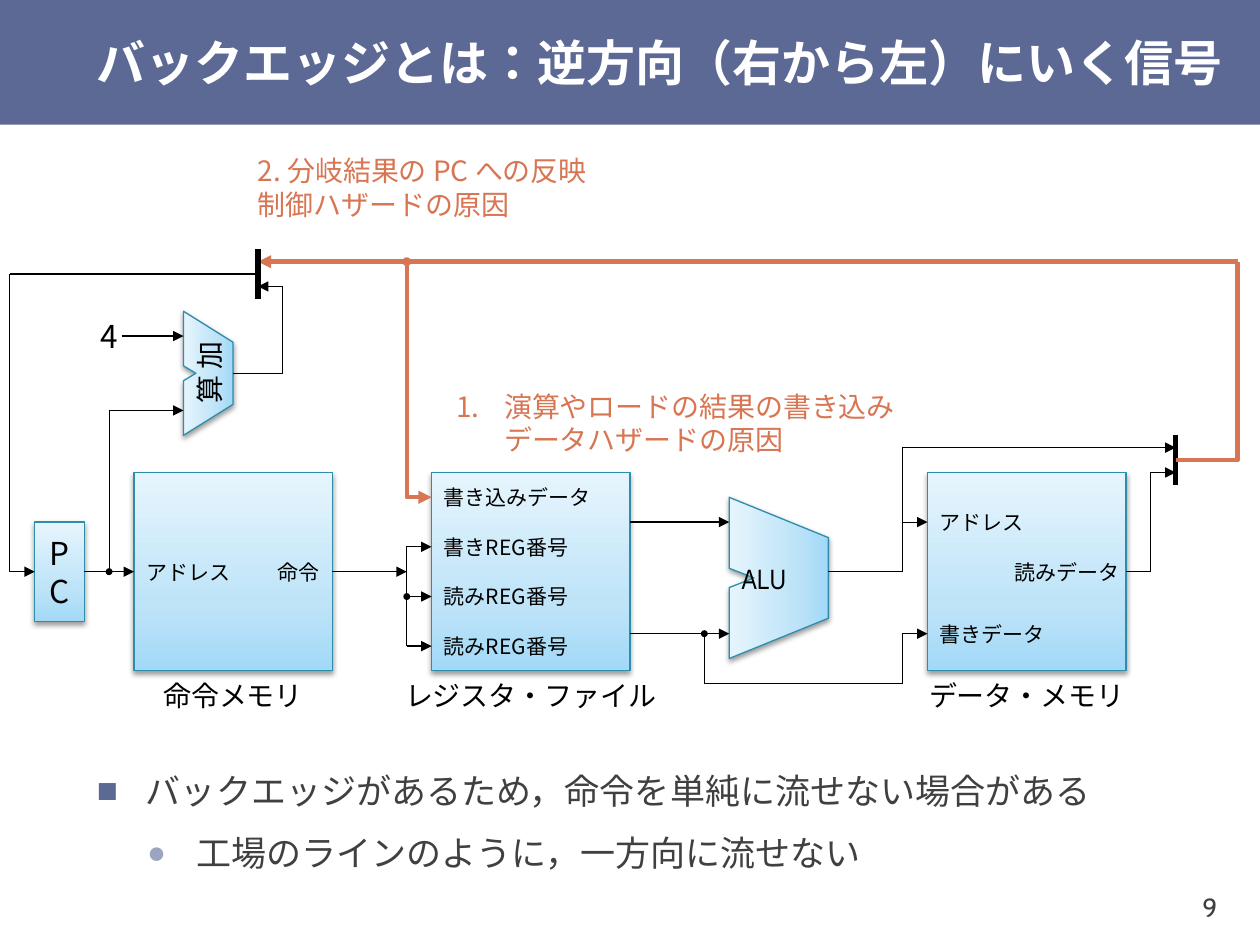
from lxml import etree
from pptx import Presentation
from pptx.dml.color import RGBColor as Rgb
from pptx.enum.lang import MSO_LANGUAGE_ID as Lang
from pptx.enum.shapes import MSO_CONNECTOR as Link, MSO_SHAPE as Kind
from pptx.enum.text import MSO_ANCHOR as Anchor, PP_ALIGN as Align
from pptx.oxml import parse_xml
from pptx.oxml.ns import qn
from pptx.util import Inches, Mm, Pt

HUES = {"bar": "5C6994", "white": "FFFFFF", "ink": "000000", "gray": "404040",
        "back": "D87552", "edge": "2E8DAB", "dot": "9BA4C1"}
NS = 'xmlns:a="http://schemas.openxmlformats.org/drawingml/2006/main"'
STOPS = [(0, "A2D9F7"), (35, "BFE4F8"), (100, "E6F5FD")]
CELL = Mm(5)
CJK = "Noto Sans CJK JP"

deck = Presentation()
deck.slide_width, deck.slide_height = Inches(10), Inches(7.5)
wide, high = deck.slide_width, deck.slide_height
slide = deck.slides.add_slide(deck.slide_layouts[6])
shapes = slide.shapes


def spot(col, row):
    """Turn a grid column and row into a place on the slide."""
    return int(Mm(2) + col * CELL), int(Mm(0.25) + row * CELL)


def write(shape, lines, size, hue="ink", face=CJK, align=Align.LEFT,
          side=0.1, edge=0.0, bold=None):
    frame = shape.text_frame
    frame.word_wrap = True
    frame.vertical_anchor = Anchor.MIDDLE
    frame.margin_left = frame.margin_right = Inches(side)
    frame.margin_top = frame.margin_bottom = Inches(edge)
    for i, line in enumerate(lines):
        para = frame.add_paragraph() if i else frame.paragraphs[0]
        para.text, para.alignment = line, align
        for run in para.runs:
            font = run.font
            font.size, font.name, font.bold = Pt(size), face, bold
            font.color.rgb = Rgb.from_string(HUES[hue])
            font.language_id = Lang.JAPANESE
            east = etree.SubElement(run._r.get_or_add_rPr(), qn("a:ea"))
            east.set("typeface", CJK)
    return frame


# Title bar and page number
bar = shapes.add_shape(Kind.RECTANGLE, 0, 0, wide, int(high * 0.132))
bar.shadow.inherit = False
bar.fill.solid()
bar.fill.fore_color.rgb = Rgb.from_string(HUES["bar"])
bar.line.fill.background()
title = shapes.add_textbox(int(wide * 0.067), 0, int(wide * 0.933), bar.height)
write(title, ["バックエッジとは：逆方向（右から左）にいく信号"], 28, "white", "Cabin",
      bold=True)
page = shapes.add_textbox(int(wide * 0.894), int(high * 0.92),
                          int(wide * 0.079), int(high * 0.08))
write(page, ["9"], 15, "gray", "Cabin", Align.RIGHT, 0.07, 0.04)

# Bulleted points
body = shapes.add_textbox(int(wide * 0.067), int(high * 0.815),
                          int(wide * 0.906), int(high * 0.105))
frame = write(body, ["バックエッジがあるため，命令を単純に流せない場合がある",
                     "工場のラインのように，一方向に流せない"],
              20, "gray", "Cabin", edge=0.05)
marks = [("■", "bar", 100, 0.39, 24, 6), ("●", "dot", 90, 0.79, 3, 3)]
for para, (mark, hue, size, left, above, below) in zip(frame.paragraphs, marks):
    para.line_spacing = 1.1
    para.space_before, para.space_after = Pt(above), Pt(below)
    props = para._p.get_or_add_pPr()
    props.set("marL", str(Inches(left)))
    props.set("indent", str(-Inches(0.39)))
    for xml in (f'<a:buClr {NS}><a:srgbClr val="{HUES[hue]}"/></a:buClr>',
                f'<a:buSzPct {NS} val="{size * 1000}"/>',
                f'<a:buFont {NS} typeface="Arial"/>',
                f'<a:buChar {NS} char="{mark}"/>'):
        props.append(parse_xml(xml))

# Units: column, row, columns wide, rows high, text, size, face, trapezoid
units = [(5, 19, 8, 8, "", 0, CJK, False), (17, 19, 8, 8, "", 0, CJK, False),
         (37, 19, 8, 8, "", 0, CJK, False),
         (27.75, 21.25, 6.5, 4, "ALU", 16, "Arial Narrow", True),
         (1, 21, 2, 4, "PC", 18, CJK, False),
         (5.5, 14, 5, 2, "加算", 16, CJK, True)]
outline = [(0, 0), (0.25, 1), (0.75, 1), (1, 0), (0.56, 0), (0.5, 0.25), (0.44, 0)]
for col, row, cols, rows, label, size, face, slant in units:
    if slant:
        pts = [spot(col + x * cols, row + y * rows) for x, y in outline]
        pen = shapes.build_freeform(*pts[0])
        pen.add_line_segments(pts[1:], close=True)
        unit = pen.convert_to_shape()
        unit.rotation = 270
    else:
        unit = shapes.add_shape(Kind.RECTANGLE, *spot(col, row),
                                int(cols * CELL), int(rows * CELL))
    unit.line.color.rgb = Rgb.from_string(HUES["edge"])
    unit.line.width = Pt(0.75)
    stops = "".join(f'<a:gs pos="{p * 1000}"><a:srgbClr val="{c}"/></a:gs>'
                    for p, c in STOPS)
    unit.line._ln.addprevious(parse_xml(
        f'<a:gradFill {NS} rotWithShape="1"><a:gsLst>{stops}</a:gsLst>'
        '<a:lin ang="16200000" scaled="0"/></a:gradFill>'))
    unit.line._ln.addnext(parse_xml(
        f'<a:effectLst {NS}><a:outerShdw blurRad="{Pt(3.1)}" dist="{Pt(1.6)}" '
        'dir="5400000" rotWithShape="0"><a:srgbClr val="000000">'
        '<a:alpha val="38000"/></a:srgbClr></a:outerShdw></a:effectLst>'))
    if label:
        write(unit, [label], size, face=face, align=Align.CENTER, edge=0.05)
    if slant:
        unit.text_frame._txBody.bodyPr.set("vert", "eaVert")

# Wires: grid points, width, hue, ends (o dot at the start, > arrow at the end)
wires = [
    ([(3, 23), (5, 23)], 0.75, "ink", ">"),
    ([(4, 23), (4, 16.5), (7, 16.5)], 0.5, "ink", "o>"),
    ([(4.5, 13.5), (7, 13.5)], 0.75, "ink", ">"),
    ([(0, 11), (0, 23), (1, 23)], 0.5, "ink", ">"),
    ([(9, 15), (11, 15), (11, 11.5)], 0.5, "ink", ""),
    ([(0, 11), (10, 11)], 0.75, "ink", ""),
    ([(13, 23), (16, 23)], 0.75, "ink", ">"),
    ([(16, 26), (16, 22), (17, 22)], 0.5, "ink", ">"),
    ([(16, 24), (17, 24)], 0.75, "ink", "o>"),
    ([(16, 26), (17, 26)], 0.75, "ink", ">"),
    ([(16, 10.5), (16, 20), (17, 20)], 2.5, "back", "o>"),
    ([(46, 23), (46, 19), (47, 19)], 0.5, "ink", ">"),
    ([(45, 23), (46, 23)], 0.75, "ink", ""),
    ([(33, 23), (36, 23)], 0.75, "ink", ""),
    ([(25, 21), (29, 21)], 0.75, "ink", ">"),
    ([(25, 25.5), (29, 25.5)], 0.75, "ink", ">"),
    ([(28, 25.5), (28, 27.5), (36, 27.5)], 0.5, "ink", "o"),
    ([(36, 27.5), (36, 25.5), (37, 25.5)], 0.5, "ink", ">"),
    ([(36, 23), (36, 21), (37, 21)], 0.5, "ink", ">"),
    ([(47, 17.5), (47, 19.5)], 3, "ink", ""),
    ([(49.5, 10.5), (10, 10.5)], 2.5, "back", ">"),
    ([(36, 21), (36, 18), (47, 18)], 0.5, "ink", ">"),
    ([(47, 18.5), (49.5, 18.5), (49.5, 10.5)], 2.5, "back", ""),
    ([(10, 10), (10, 12)], 3, "ink", ""),
    ([(11, 11.5), (10, 11.5)], 0.75, "ink", ">"),
]
tips = [("o", "a:headEnd", "oval", "sm"), (">", "a:tailEnd", "triangle", "med")]
for grid, width, hue, ends in wires:
    pts = [spot(*p) for p in grid]
    if len(pts) == 2:
        wire = shapes.add_connector(Link.STRAIGHT, *pts[0], *pts[1])
        etree.SubElement(wire._element.spPr, qn("a:effectLst"))
    else:
        pen = shapes.build_freeform(*pts[0])
        pen.add_line_segments(pts[1:], close=False)
        wire = pen.convert_to_shape()
        wire.shadow.inherit = False
        wire.fill.background()
    wire.line.color.rgb = Rgb.from_string(HUES[hue])
    wire.line.width = Pt(width)
    for sign, tag, form, span in tips:
        if sign in ends:
            tip = etree.SubElement(wire.line._ln, qn(tag))
            for key, value in (("type", form), ("w", span), ("len", span)):
                tip.set(key, value)

# Labels: column, row, columns wide, text, size, align, side inset
labels = [(3, 12.5, 2, "4", 18, Align.CENTER, 0.1),
          (5, 22, 5, "アドレス", 12, Align.LEFT, 0.1),
          (9, 22, 4, "命令", 12, Align.RIGHT, 0.1),
          (37, 20, 7, "アドレス", 12, Align.LEFT, 0.1),
          (37, 24.5, 7, "書きデータ", 12, Align.LEFT, 0.1),
          (40, 22, 6, "読みデータ", 12, Align.LEFT, 0.1)]
ports = ["書き込みデータ", "書きREG番号", "読みREG番号", "読みREG番号"]
labels += [(17, 19 + 2 * i, 8, port, 12, Align.LEFT, 0.1) for i, port in enumerate(ports)]
names = [(5, "命令メモリ"), (17, "レジスタ・ファイル"), (37, "データ・メモリ")]
labels += [(col - 2, 27, 12, name, 16, Align.CENTER, 0) for col, name in names]
for col, row, cols, label, size, align, side in labels:
    box = shapes.add_textbox(*spot(col, row), cols * CELL, 2 * CELL)
    write(box, [label], size, align=align, side=side)

# Notes on the two back edges
note = shapes.add_textbox(*spot(10, 6.5), 18 * CELL, 2 * CELL)
write(note, ["2. 分岐結果の PC への反映", "制御ハザードの原因"], 16, "back", side=0)
note = shapes.add_textbox(*spot(18, 16), 20 * CELL, 2 * CELL)
frame = write(note, ["演算やロードの結果の書き込み\nデータハザードの原因"], 16, "back", side=0)
props = frame.paragraphs[0]._p.get_or_add_pPr()
props.set("marL", str(Inches(0.38)))
props.set("indent", str(-Inches(0.38)))
props.append(parse_xml(f'<a:buFont {NS} typeface="{CJK}"/>'))
props.append(parse_xml(f'<a:buAutoNum {NS} type="arabicPeriod"/>'))

deck.save("out.pptx")
